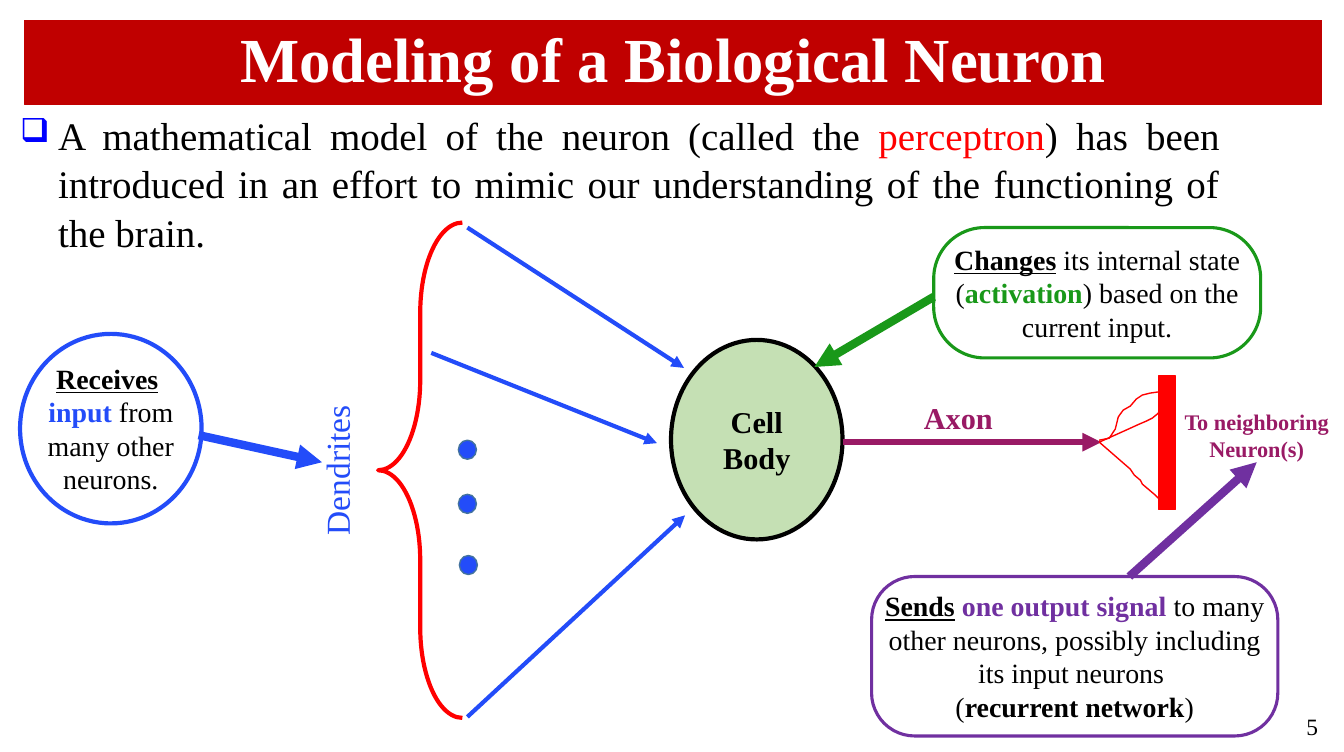
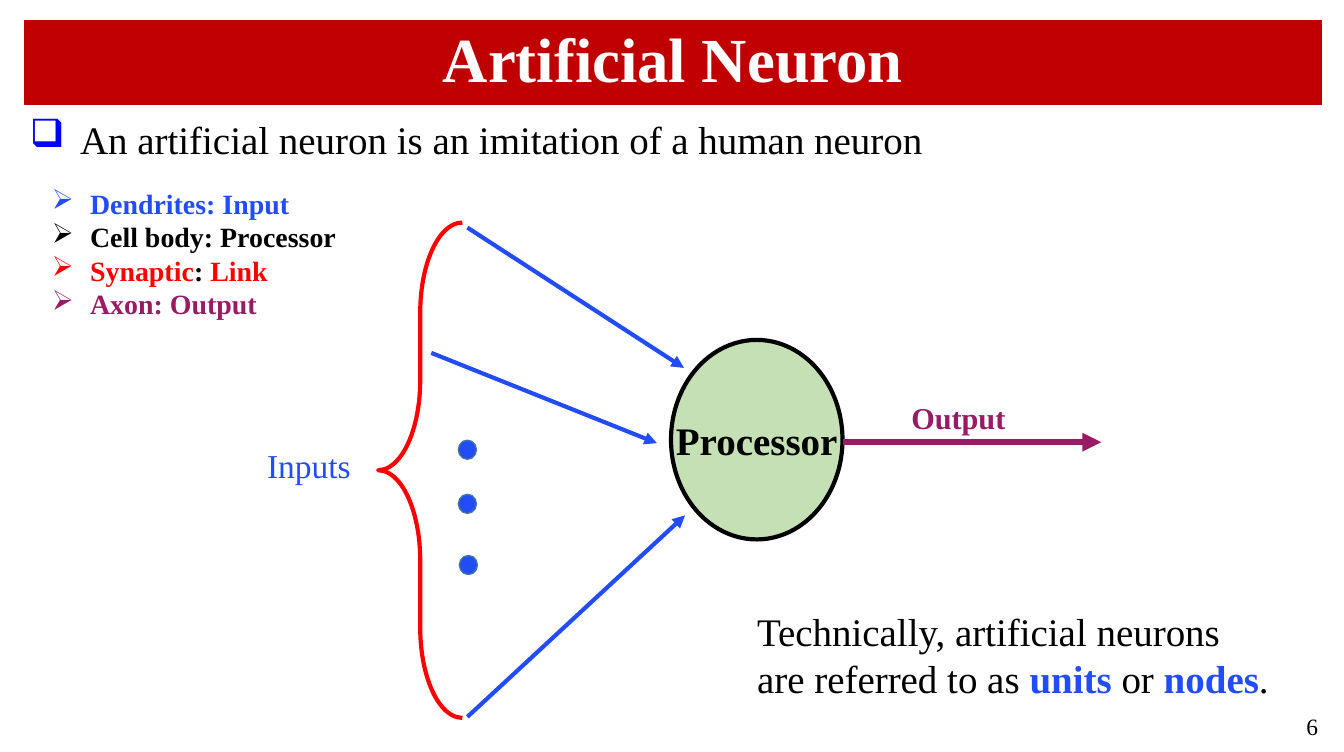
from lxml import etree
from pptx import Presentation
from pptx.dml.color import RGBColor
from pptx.enum.shapes import MSO_CONNECTOR, MSO_SHAPE
from pptx.enum.text import MSO_ANCHOR, PP_ALIGN
from pptx.oxml.ns import qn
from pptx.util import Pt

PX = 9144
FONT = "Times New Roman"
COLORS = {
    "white": "FFFFFF", "black": "000000", "band": "C00000", "red": "FF0000",
    "blue": "234CF9", "dot_edge": "43739E", "cell": "C5E0B4", "axon": "991A65",
    "purple": "7030A0", "green": "199819", "bullet": "0000FF",
}
RECT, ELLIPSE = MSO_SHAPE.RECTANGLE, MSO_SHAPE.OVAL
ROUND, BRACE = MSO_SHAPE.ROUNDED_RECTANGLE, MSO_SHAPE.LEFT_BRACE
STRAIGHT = MSO_CONNECTOR.STRAIGHT
LEFT, CENTER = PP_ALIGN.LEFT, PP_ALIGN.CENTER
RIGHT, JUSTIFY = PP_ALIGN.RIGHT, PP_ALIGN.JUSTIFY
TOP, MIDDLE = MSO_ANCHOR.TOP, MSO_ANCHOR.MIDDLE


def add_box(slide, place, paragraphs=(), kind=None, fill=None, line=None, width=1,
            size=20, color="black", bold=False, align=CENTER, anchor=TOP,
            insets=(10, 5, 10, 5), wrap=True, spacing=None,
            bullet=None, indent=0, bullet_color=None, bullet_size=None):
    place = [value * PX for value in place]
    if kind is None:
        shape = slide.shapes.add_textbox(*place)
    else:
        shape = slide.shapes.add_shape(kind, *place)
        shape.shadow.inherit = False
        if fill:
            shape.fill.solid()
            shape.fill.fore_color.rgb = RGBColor.from_string(COLORS[fill])
        else:
            shape.fill.background()
        shape.line.color.rgb = RGBColor.from_string(COLORS[line])
        shape.line.width = Pt(width)
    frame = shape.text_frame
    frame.word_wrap = wrap
    frame.vertical_anchor = anchor
    (frame.margin_left, frame.margin_top,
     frame.margin_right, frame.margin_bottom) = [value * PX for value in insets]
    for index, runs in enumerate(paragraphs):
        paragraph = frame.add_paragraph() if index else frame.paragraphs[0]
        paragraph.alignment = align
        if bullet:
            properties = paragraph._p.get_or_add_pPr()
            properties.set("marL", str(indent * PX))
            properties.set("indent", str(-indent * PX))
            if bullet_color:
                holder = etree.SubElement(properties, qn("a:buClr"))
                etree.SubElement(holder, qn("a:srgbClr"), val=COLORS[bullet_color])
            if bullet_size:
                etree.SubElement(properties, qn("a:buSzPct"), val=str(bullet_size * 1000))
            etree.SubElement(properties, qn("a:buChar"), char=bullet)
        if spacing:
            paragraph.line_spacing = spacing
        for item in [runs] if isinstance(runs, str) else runs:
            text, style = (item, {}) if isinstance(item, str) else item
            run = paragraph.add_run()
            run.text = text
            run.font.name = FONT
            run.font.size = Pt(size)
            run.font.bold = style.get("bold", bold)
            run.font.underline = style.get("underline", False)
            run.font.color.rgb = RGBColor.from_string(COLORS[style.get("color", color)])
    return shape


def add_arrow(slide, start, end, color, width):
    ends = [value * PX for value in (*start, *end)]
    arrow = slide.shapes.add_connector(STRAIGHT, *ends)
    arrow.line.color.rgb = RGBColor.from_string(COLORS[color])
    arrow.line.width = Pt(width)
    etree.SubElement(arrow.line._get_or_add_ln(), qn("a:tailEnd"), type="triangle")
    etree.SubElement(arrow._element.spPr, qn("a:effectLst"))


presentation = Presentation()
presentation.slide_width = 1340 * PX
presentation.slide_height = 750 * PX

neurons = [
    ("5", "Modeling of a Biological Neuron", "Axon", (911, 393, 89, 47),
     "Cell Body", {"size": 21.7}),
    ("6", "Artificial Neuron", "Output", (898, 393, 115, 47),
     "Processor", {"size": 28, "wrap": False, "insets": (0, 0, 0, 0)}),
]
slides = []
for number, title, output, output_place, cell, cell_format in neurons:
    slide = presentation.slides.add_slide(presentation.slide_layouts[6])
    slides.append(slide)
    add_box(slide, (24, 20, 1294, 84), [title], RECT, "band", "band", 0.75,
            size=45, color="white", bold=True, anchor=MIDDLE, spacing=0.9)
    add_box(slide, (669, 339, 171, 199), [cell], ELLIPSE, "cell", "black", 3,
            bold=True, anchor=MIDDLE, **cell_format)
    add_arrow(slide, (840, 441), (1098, 441), "axon", 4.5)
    add_box(slide, output_place, [output], size=21.7, color="axon", bold=True, wrap=False)
    for start, end in [((466, 227), (682, 367)), ((430, 352), (655, 442)),
                       ((466, 715), (683, 514))]:
        add_arrow(slide, start, end, "blue", 3)
    brace = add_box(slide, (377, 222, 84, 494), kind=BRACE, line="red", width=3)
    brace.adjustments[0] = 1.07
    for left, top in [(457, 439), (457, 493), (458, 554)]:
        add_box(slide, (left, top, 18, 19), kind=ELLIPSE, fill="blue", line="dot_edge")
    add_box(slide, (1273, 704, 51, 40), [number], size=16.8, align=RIGHT, anchor=MIDDLE)

biological, artificial = slides
strong = {"bold": True}
key_verb = {"bold": True, "underline": True}
blue_strong = {"bold": True, "color": "blue"}
red = {"color": "red"}

add_box(biological, (20, 110, 1298, 143),
        [["A mathematical model of the neuron (called the ", ("perceptron", red),
          ") has been introduced in an effort to mimic our understanding "
          "of the functioning of the brain."]],
        size=28, align=JUSTIFY, insets=(0, 0, 102, 0), spacing=1.03,
        bullet="❑", indent=38, bullet_color="bullet", bullet_size=85)
dendrites = add_box(biological, (260, 444, 151, 50), ["Dendrites"],
                    size=24, color="blue", wrap=False)
dendrites.rotation = 270
add_box(biological, (1180, 407, 146, 54), ["To neighboring", "Neuron(s)"],
        size=16, color="axon", bold=True, insets=(0, 0, 0, 0), wrap=False)

axon_branches = [
    [(1096, 439), (1106, 437), (1110, 431), (1112, 428), (1115, 416), (1117, 413),
     (1120, 409), (1127, 405), (1133, 398), (1139, 394), (1147, 392), (1161, 390),
     (1166, 387)],
    [(1096, 441), (1125, 428), (1136, 423), (1143, 420), (1149, 417), (1155, 412),
     (1157, 407)],
    [(1096, 441), (1127, 468), (1131, 474), (1137, 479), (1139, 483), (1145, 488),
     (1152, 494), (1155, 497)],
]
for branch in axon_branches:
    builder = biological.shapes.build_freeform(*branch[0], scale=PX)
    builder.add_line_segments(branch[1:], close=False)
    shape = builder.convert_to_shape()
    shape.shadow.inherit = False
    shape.fill.background()
    shape.line.color.rgb = RGBColor.from_string(COLORS["red"])
    shape.line.width = Pt(1)
add_box(biological, (1155, 375, 17, 133), kind=RECT, fill="red", line="red")

callouts = [
    ((20, 333, 181, 189), ELLIPSE, None, "blue", 3,
     [[("Receives", key_verb), " "],
      [("input ", blue_strong), "from many other neurons."]],
     (198, 434), (321, 461)),
    ((869, 575, 405, 159), ROUND, 0.27, "purple", 2.25,
     [[("Sends", key_verb), " ",
       ("one output signal ", {"bold": True, "color": "purple"}),
       "to many other neurons, possibly including its input neurons "],
      ["(", ("recurrent network", strong), ")"]],
     (1126, 575), (1253, 461)),
    ((931, 227, 326, 130), ROUND, 0.39, "green", 2.25,
     [[("Changes", key_verb), " its internal state (",
       ("activation", {"bold": True, "color": "green"}),
       ") based on the current input."]],
     (931, 296), (812, 366)),
]
for place, kind, corner, color, width, paragraphs, start, end in callouts:
    callout = add_box(biological, place, paragraphs, kind, line=color, width=width,
                      insets=(0, 0, 0, 0))
    if corner:
        callout.adjustments[0] = corner
    add_arrow(biological, start, end, color, 6)

add_box(artificial, (20, 110, 1294, 57),
        ["An artificial neuron is an imitation of a human neuron"],
        size=28, align=LEFT, bullet="❑", indent=50, bullet_color="bullet")
add_box(artificial, (42, 181, 307, 145),
        [[("Dendrites: Input", {"color": "blue"})],
         "Cell body: Processor",
         [("Synaptic", red), ": ", ("Link", red)],
         [("Axon: Output", {"color": "axon"})]],
        bold=True, align=LEFT, wrap=False, bullet="➢", indent=38)
add_box(artificial, (256, 439, 104, 50), ["Inputs"], size=24, color="blue", wrap=False)
add_box(artificial, (745, 601, 536, 104),
        ["Technically, artificial neurons",
         ["are referred to as ", ("units", blue_strong), " or ",
          ("nodes", blue_strong), "."]],
        size=28, align=LEFT, wrap=False)

presentation.save("out.pptx")
